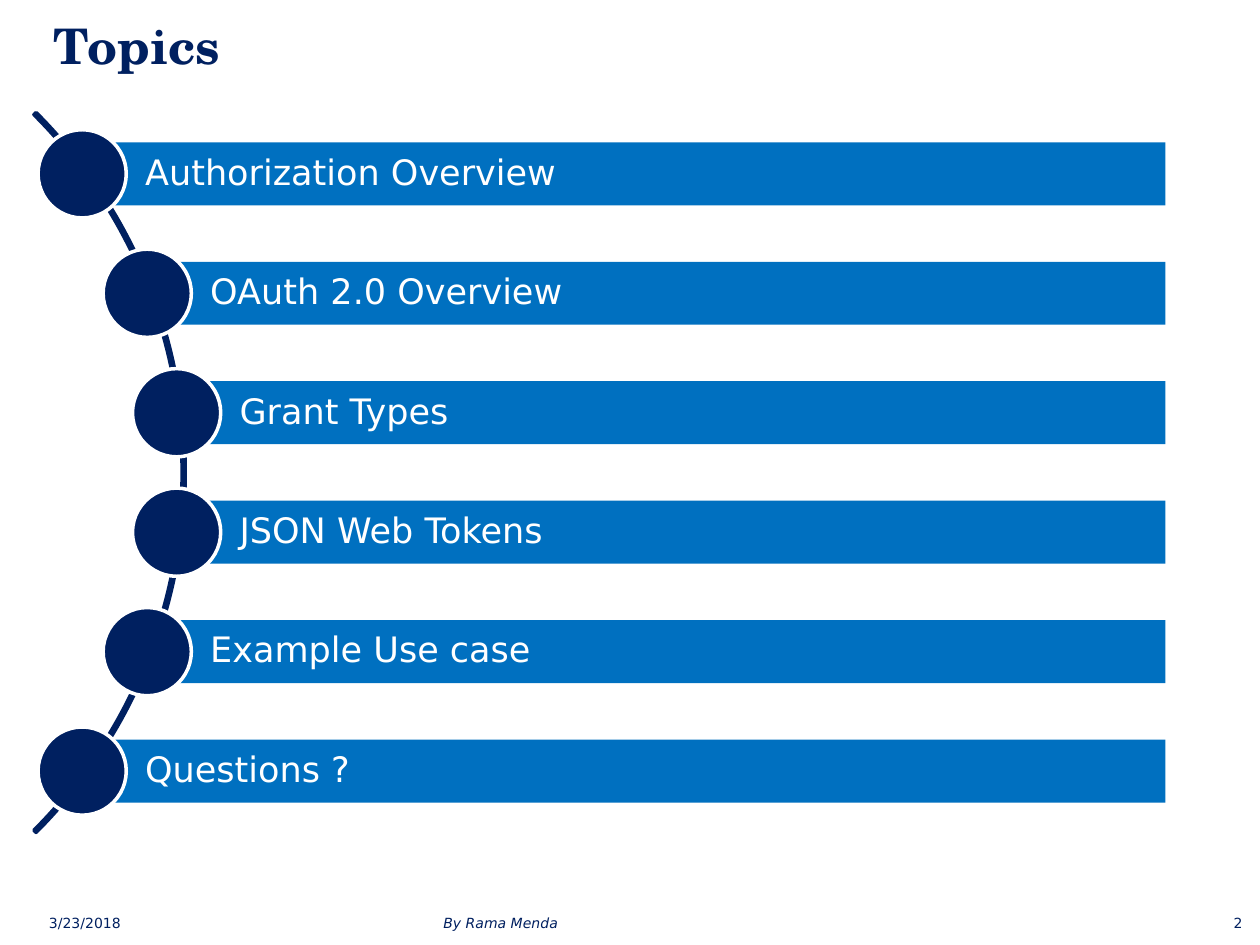
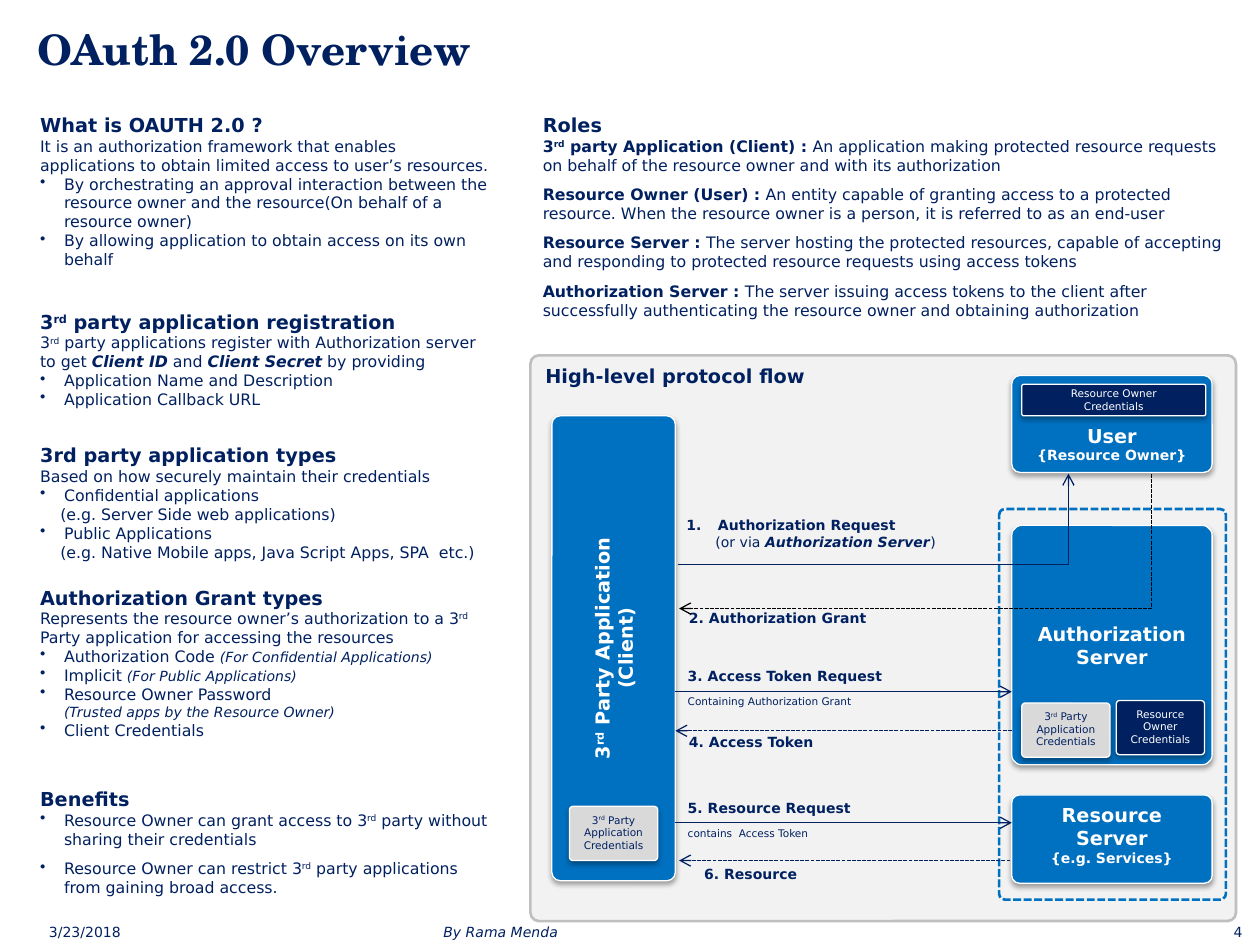
from math import sqrt

from lxml import etree
from pptx import Presentation
from pptx.dml.color import RGBColor
from pptx.enum.dml import MSO_LINE
from pptx.enum.shapes import MSO_CONNECTOR, MSO_SHAPE
from pptx.enum.text import MSO_ANCHOR, PP_ALIGN
from pptx.oxml.ns import qn
from pptx.util import Inches, Pt

NAVY = RGBColor(0x00, 0x20, 0x60)
BLUE = RGBColor(0x00, 0x70, 0xC0)
WHITE = RGBColor(0xFF, 0xFF, 0xFF)
BLACK = RGBColor(0x00, 0x00, 0x00)
PALE = RGBColor(0xF2, 0xF2, 0xF2)
SILVER = RGBColor(0xBF, 0xBF, 0xBF)
GRAY = RGBColor(0xD9, 0xD9, 0xD9)

BODY_FONT = "DejaVu Sans"
TITLE_FONT = "TeX Gyre Schola"
DASH = MSO_LINE.SQUARE_DOT
LEFT, CENTER, RIGHT = PP_ALIGN.LEFT, PP_ALIGN.CENTER, PP_ALIGN.RIGHT
TOP, MIDDLE, BOTTOM = MSO_ANCHOR.TOP, MSO_ANCHOR.MIDDLE, MSO_ANCHOR.BOTTOM
RECT, ROUND, OVAL, ARC = (MSO_SHAPE.RECTANGLE, MSO_SHAPE.ROUNDED_RECTANGLE,
                          MSO_SHAPE.OVAL, MSO_SHAPE.BLOCK_ARC)
STRAIGHT, ELBOW = MSO_CONNECTOR.STRAIGHT, MSO_CONNECTOR.ELBOW

# Marks that switch a format on and off inside a text
MARKS = {"*": "bold", "_": "italic", "^": "raised", "~": "small"}
STYLES = {
    "head": {"size": 11, "bold": True},
    "body": {"size": 9},
    "role": {"size": 9, "after": 6},
    "dot": {"size": 9, "bullet": "•", "indent": 0.19},
    "spaced dot": {"size": 9, "bullet": "•", "indent": 0.19, "after": 6},
    "example": {"size": 9, "indent": 0.16},
    "note": {"size": 9, "indent": 0.19},
    "step": {"size": 8, "bold": True},
    "spaced step": {"size": 8, "bold": True, "after": 6},
    "number": {"size": 8, "bold": True, "bullet": "1", "indent": 0.25},
    "via": {"size": 8, "indent": 0.23},
    "tiny": {"size": 6},
    "footer": {"size": 8},
    "bar": {"size": 20, "line": 0.9},
    "title 28": {"size": 28, "bold": True, "font": TITLE_FONT, "line": 1.05},
    "title 24": {"size": 24, "bold": True, "font": TITLE_FONT, "line": 1.05},
}

TOPICS = ["Authorization Overview", "OAuth 2.0 Overview", "Grant Types",
          "JSON Web Tokens", "Example Use case", "Questions ?"]

# Left, top, width, height and paragraphs
SECTIONS = [
    (0.22, 0.85, 3.76, 1.5, [
        ("head", "What is OAUTH 2.0 ?"),
        ("body", "It is an authorization framework that enables applications "
                 "to obtain limited access to user’s resources."),
        ("dot", "By orchestrating an approval interaction between the resource "
                "owner and the resource(On behalf of a resource owner)"),
        ("dot", "By allowing application to obtain access on its own behalf")]),
    (0.22, 2.41, 3.76, 0.91, [
        ("head", "3^rd^ party application registration"),
        ("body", "3^rd^ party applications register with Authorization server"),
        ("body", "to get *_Client ID_* and *_Client Secret_* by providing"),
        ("dot", "Application Name and Description"),
        ("dot", "Application Callback URL")]),
    (0.22, 3.47, 3.85, 1.04, [
        ("head", "3rd party application types"),
        ("body", "Based on how securely maintain their credentials"),
        ("dot", "Confidential applications"),
        ("example", "(e.g. Server Side web applications)"),
        ("dot", "Public Applications"),
        ("example", "(e.g. Native Mobile apps, Java Script Apps, SPA  etc.)")]),
    (0.22, 4.6, 3.76, 1.35, [
        ("head", "Authorization Grant types"),
        ("body", "Represents the resource owner’s authorization to a 3^rd^ "
                 "Party application for accessing the resources"),
        ("dot", "Authorization Code ~_(For Confidential Applications)_~"),
        ("dot", "Implicit ~_(For Public Applications)_~"),
        ("dot", "Resource Owner Password"),
        ("note", "~_(Trusted apps by the Resource Owner)_~"),
        ("dot", "Client Credentials")]),
    (0.22, 6.2, 3.76, 0.98, [
        ("head", "Benefits"),
        ("spaced dot", "Resource Owner can grant access to 3^rd^ party without "
                       "sharing their credentials"),
        ("spaced dot", "Resource Owner can restrict 3^rd^ party applications "
                       "from gaining broad access.")]),
    (4.21, 0.85, 5.6, 1.77, [
        ("head", "Roles"),
        ("role", "*3^rd^ party Application (Client) : *An application making "
                 "protected resource requests on behalf of the resource owner "
                 "and with its authorization"),
        ("role", "*Resource Owner (User) : *An entity capable of granting "
                 "access to a protected resource. When the resource owner is a "
                 "person, it is referred to as an end-user"),
        ("role", "*Resource Server : *The server hosting the protected "
                 "resources, capable of accepting and responding to protected "
                 "resource requests using access tokens"),
        ("role", "*Authorization Server : *The server issuing access tokens to "
                 "the client after successfully authenticating the resource "
                 "owner and obtaining authorization")]),
]

# The places below are relative to the protocol flow panel
PARTIES = [
    (0.17, 0.48, 0.98, 3.69, 0.069, MIDDLE, [
        ("head", "3^rd^ Party Application"), ("head", "(Client)")]),
    (3.82, 0.16, 1.59, 0.77, 0.086, BOTTOM, [
        ("head", "User"), ("step", "{Resource Owner}")]),
    (3.82, 1.35, 1.59, 1.9, 0.05, MIDDLE, [("head", "Authorization Server")]),
    (3.82, 3.49, 1.59, 0.7, 0.086, TOP, [
        ("head", "Resource"), ("head", "Server"), ("step", "{e.g. Services}")]),
]
APP_KEYS = [("tiny", "3^rd^ Party Application"), ("tiny", "Credentials")]
OWNER_KEYS = [("tiny", "Resource"), ("tiny", "Owner"), ("tiny", "Credentials")]
USER_KEYS = [("tiny", "Resource Owner"), ("tiny", "Credentials")]
CREDENTIALS = [
    (3.9, 2.76, 0.7, 0.43, GRAY, NAVY, TOP, APP_KEYS),
    (4.65, 2.74, 0.7, 0.43, NAVY, WHITE, TOP, OWNER_KEYS),
    (0.31, 3.58, 0.7, 0.43, GRAY, NAVY, TOP, APP_KEYS),
    (3.9, 0.23, 1.46, 0.25, NAVY, WHITE, MIDDLE, USER_KEYS),
]
STEPS = [
    (1.14, 1.23, 2.44, 0.37, [
        ("number", "Authorization Request"),
        ("via", "(or via *_Authorization Server_*)")]),
    (1.16, 1.97, 1.94, 0.24, [("step", "2. Authorization Grant")]),
    (1.15, 2.43, 2.08, 0.42, [
        ("spaced step", "3. Access Token Request"),
        ("tiny", "Containing Authorization Grant")]),
    (1.16, 2.95, 1.94, 0.24, [("step", "4. Access Token")]),
    (1.15, 3.48, 1.95, 0.42, [
        ("spaced step", "5. Resource Request"),
        ("tiny", "contains  Access Token")]),
    (1.28, 4.0, 1.94, 0.24, [("step", "6. Resource")]),
]
ARROWS = [
    (1.15, 2.67, 3.82, 2.67, None),
    (3.82, 2.98, 1.15, 2.98, DASH),
    (1.15, 3.71, 3.82, 3.71, None),
    (3.81, 4.01, 1.18, 4.01, DASH),
]


def add_child(parent, tag, **values):
    child = etree.SubElement(parent, qn(tag))
    for name, value in values.items():
        child.set(name, str(value))
    return child


def add_span(para, text, style, color, active):
    span = para.add_run()
    span.text = text
    formats = {"name": style.get("font", BODY_FONT),
               "size": Pt(8 if "small" in active else style["size"]),
               "bold": style.get("bold", False) or "bold" in active,
               "italic": "italic" in active}
    for name, value in formats.items():
        setattr(span.font, name, value)
    span.font.color.rgb = color
    if "raised" in active:
        span.font._element.set("baseline", "30000")


def fill_para(para, style, text, color, align):
    formats = {"alignment": align, "space_after": Pt(style.get("after", 0)),
               "line_spacing": style.get("line", 1.0)}
    for name, value in formats.items():
        setattr(para, name, value)
    props = para._p.get_or_add_pPr()
    indent = Inches(style.get("indent", 0))
    bullet = style.get("bullet")
    props.set("marL", str(indent))
    props.set("indent", str(-indent if bullet else 0))
    if bullet == "1":
        add_child(props, "a:buAutoNum", type="arabicPeriod")
    elif bullet:
        add_child(props, "a:buChar", char=bullet)
    active, pending = set(), ""
    for letter in text:
        if letter not in MARKS:
            pending += letter
            continue
        if pending:
            add_span(para, pending, style, color, active)
        pending = ""
        active ^= {MARKS[letter]}
    if pending:
        add_span(para, pending, style, color, active)


def write(shape, paras, color=NAVY, align=LEFT, anchor=TOP, **margins):
    frame = shape.text_frame
    formats = {"word_wrap": True, "vertical_anchor": anchor, **margins}
    for name, value in formats.items():
        setattr(frame, name, value)
    for index, (style, text) in enumerate(paras):
        para = frame.add_paragraph() if index else frame.paragraphs[0]
        fill_para(para, STYLES[style], text, color, align)


def add_text(page, left, top, width, height, paras, **options):
    box = page.shapes.add_textbox(*map(Inches, (left, top, width, height)))
    write(box, paras, **options)


def add_shape(page, kind, box, fill=None, line=None, weight=0.75, dash=None,
              adjust=(), shadow=False):
    shape = page.shapes.add_shape(kind, *map(Inches, box))
    shape.shadow.inherit = False
    for index, value in enumerate(adjust):
        shape.adjustments[index] = value
    if fill is None:
        shape.fill.background()
    else:
        shape.fill.solid()
        shape.fill.fore_color.rgb = fill
    if line is None:
        shape.line.fill.background()
    else:
        shape.line.color.rgb = line
        shape.line.width = Pt(weight)
        shape.line.dash_style = dash
    if shadow:
        effects = shape._element.spPr.find(qn("a:effectLst"))
        outer = add_child(effects, "a:outerShdw", blurRad=Pt(3.1), dist=Pt(1.8),
                          dir=5400000, rotWithShape=0)
        add_child(add_child(outer, "a:srgbClr", val=BLACK), "a:alpha", val=35000)
    return shape


def add_arrow(page, ends, dash=None, color=NAVY, kind=STRAIGHT):
    arrow = page.shapes.add_connector(kind, *map(Inches, ends))
    arrow.line.color.rgb = color
    arrow.line.width = Pt(0.75)
    arrow.line.dash_style = dash
    add_child(arrow.line._get_or_add_ln(), "a:tailEnd", type="arrow")
    add_child(arrow._element.spPr, "a:effectLst")
    return arrow._element.spPr.find(qn("a:prstGeom"))


def add_frame(page, title, title_box, style, anchor, number, footer_top):
    """Title and footer line, which all slides share."""
    add_text(page, *title_box, [(style, title)], anchor=anchor)
    for left, width, text, align in [(0.29, 2.33, "3/23/2018", LEFT),
                                     (9.46, 0.5, number, RIGHT),
                                     (3.42, 3.17, "_By Rama Menda_", LEFT)]:
        add_text(page, left, footer_top, width, 0.15, [("footer", text)],
                 align=align, anchor=MIDDLE)


def add_topic_list(page, center_x, center_y, radius, right):
    """Bars whose discs sit on an arc around the given centre."""
    outer = radius + 0.04
    add_shape(page, ARC, (center_x - outer, center_y - outer, 2 * outer, 2 * outer),
              line=NAVY, weight=2, adjust=(189, 27, 0.003))
    pitch, bar_height, disc = 0.948, 0.5, 0.7
    for index, topic in enumerate(TOPICS):
        rise = (index - (len(TOPICS) - 1) / 2) * pitch
        x, y = center_x + sqrt(radius ** 2 - rise ** 2), center_y + rise
        bar = add_shape(page, RECT, (x, y - bar_height / 2, right - x, bar_height),
                        fill=BLUE)
        write(bar, [("bar", topic)], color=WHITE, anchor=MIDDLE,
              margin_left=Inches(0.5))
        add_shape(page, OVAL, (x - disc / 2, y - disc / 2, disc, disc),
                  fill=NAVY, line=WHITE, weight=2)


def add_protocol_flow(page, left, top, width, height):
    def place(x, y, *size):
        return left + x, top + y, *size

    def span_ends(x1, y1, x2, y2):
        return left + x1, top + y1, left + x2, top + y2

    panel = add_shape(page, ROUND, (left, top, width, height), fill=PALE,
                      line=SILVER, weight=1.5, adjust=[0.015])
    write(panel, [("head", "High-level protocol flow")])
    add_shape(page, ROUND, place(3.72, 1.22, 1.8, 3.1), line=BLUE, weight=1.5,
              dash=DASH, adjust=[0.026])
    for x, y, wide, high, corner, anchor, paras in PARTIES:
        party = add_shape(page, ROUND, place(x, y, wide, high), fill=BLUE,
                          line=WHITE, adjust=[corner], shadow=True)
        write(party, paras, color=WHITE, align=CENTER, anchor=anchor)
        if high > 2 * wide:
            party.text_frame._txBody.bodyPr.set("vert", "vert270")
    for x, y, wide, high, paras in STEPS:
        add_text(page, *place(x, y, wide, high), paras)
    for *ends, dash in ARROWS:
        add_arrow(page, span_ends(*ends), dash)
    request = add_arrow(page, span_ends(1.17, 1.66, 4.27, 0.94), kind=ELBOW)
    request.set("prst", "bentConnector2")
    grant = add_arrow(page, span_ends(4.93, 0.94, 1.18, 2.01), DASH, BLACK, ELBOW)
    add_child(grant.find(qn("a:avLst")), "a:gd", name="adj1", fmla="val 0")
    for x, y, wide, high, fill, color, anchor, paras in CREDENTIALS:
        card = add_shape(page, ROUND, place(x, y, wide, high), fill=fill,
                         line=WHITE, adjust=[0.063], shadow=True)
        write(card, paras, color=color, align=CENTER, anchor=anchor,
              margin_left=Inches(0.05), margin_right=Inches(0.05))


def main():
    deck = Presentation()
    deck.slide_width, deck.slide_height = Inches(10), Inches(7.5)
    blank = deck.slide_layouts[6]

    topics = deck.slides.add_slide(blank)
    add_frame(topics, "Topics", (0.33, 0.05, 9.42, 0.62), "title 28", TOP, "2", 7.25)
    add_topic_list(topics, -2.57, 3.75, 4, 9.25)

    overview = deck.slides.add_slide(blank)
    add_protocol_flow(overview, 4.21, 2.82, 5.6, 4.49)
    add_frame(overview, "OAuth 2.0 Overview", (0.2, 0.03, 9.55, 0.7), "title 24",
              MIDDLE, "4", 7.32)
    for section in SECTIONS:
        add_text(overview, *section)

    deck.save("out.pptx")


if __name__ == "__main__":
    main()
